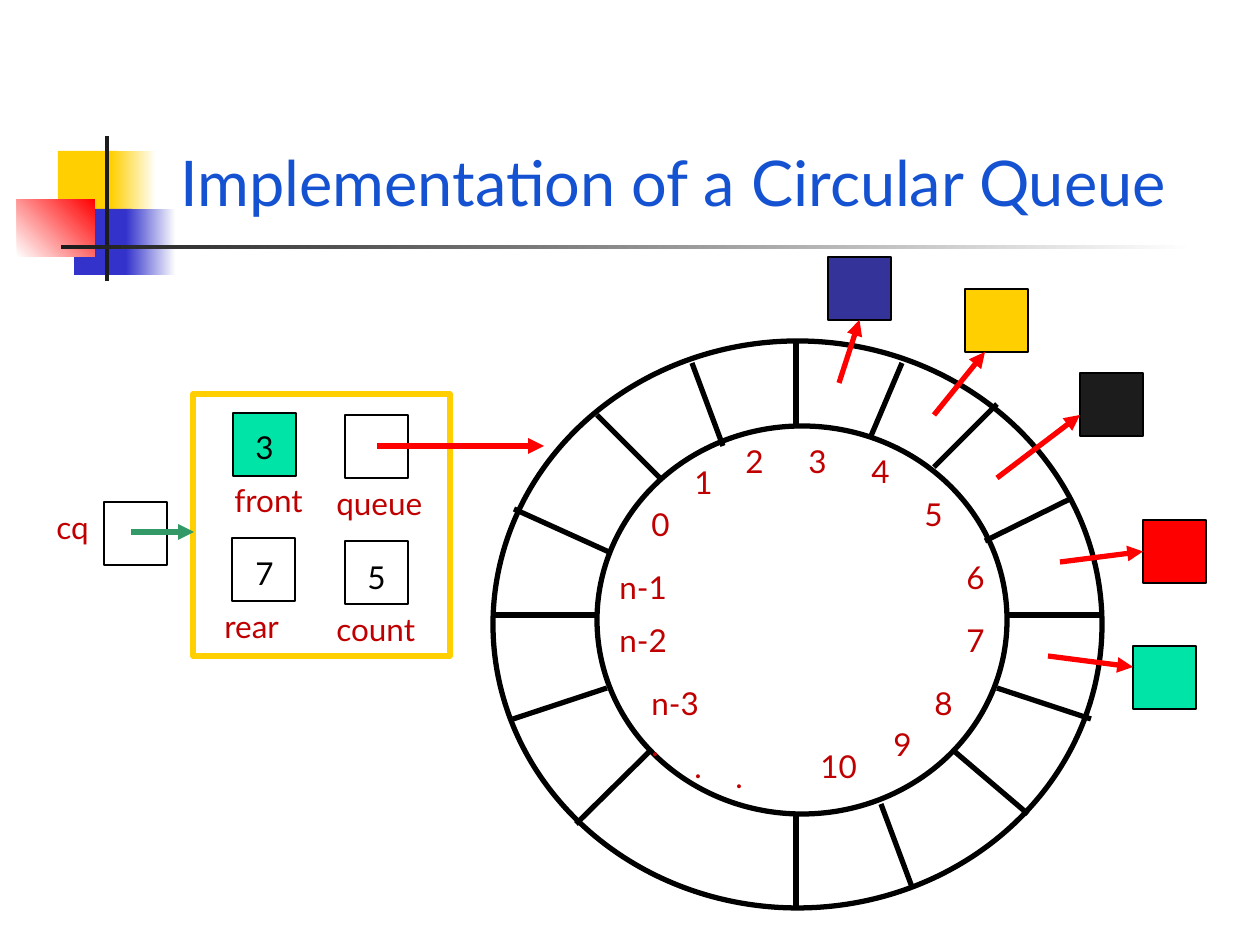
import pptx
import pptx.dml.color
import pptx.enum.dml
import pptx.enum.shapes
import pptx.enum.text
import pptx.util
from pptx.oxml.ns import qn
from lxml import etree

PX_PER_INCH = 126
FONT = "Lato"
BLACK, WHITE, RED, GOLD, TEAL = "000000", "FFFFFF", "FF0000", "FFCF01", "00E4A8"
LABEL_RED, GREEN, DARK, BLUE = "C00000", "339966", "1C1C1C", "3333CC"
CELL = 63
LABEL_HEIGHT = 50
SHAPE = pptx.enum.shapes.MSO_SHAPE


def px(length):
    return pptx.util.Emu(round(length * 914400 / PX_PER_INCH))


def color(hex_string):
    return pptx.dml.color.RGBColor.from_string(hex_string)


def add_outline(slide, kind, box, fill=None, line=None, width=0.75):
    shape = slide.shapes.add_shape(kind, *map(px, box))
    shape.shadow.inherit = False
    if fill:
        shape.fill.solid()
        shape.fill.fore_color.rgb = color(fill)
    else:
        shape.fill.background()
    if line:
        shape.line.color.rgb = color(line)
        shape.line.width = pptx.util.Pt(width)
    else:
        shape.line.fill.background()
    return shape


def add_fade(slide, box, start, end, angle=0):
    """Rectangle with a two-colour gradient, angle counted anticlockwise."""
    shape = add_outline(slide, SHAPE.RECTANGLE, box)
    shape.fill.gradient()
    shape.fill.gradient_angle = angle
    for stop, position, hex_string in zip(shape.fill.gradient_stops, (0, 1), (start, end)):
        stop.position = position
        stop.color.rgb = color(hex_string)


def add_cell(slide, left, top, fill=None):
    return add_outline(slide, SHAPE.RECTANGLE, (left, top, CELL, CELL), fill, BLACK)


def add_line(slide, ends, hex_string=BLACK, arrow=False):
    line = slide.shapes.add_connector(
        pptx.enum.shapes.MSO_CONNECTOR.STRAIGHT, *map(px, ends))
    line.line.color.rgb = color(hex_string)
    line.line.width = pptx.util.Pt(3)
    if arrow:
        etree.SubElement(line.line._get_or_add_ln(), qn("a:tailEnd"), type="triangle")
    etree.SubElement(line._element.spPr, qn("a:effectLst"))
    return line


def add_text(slide, text, box, hex_string=LABEL_RED, size=18,
             anchor=pptx.enum.text.MSO_ANCHOR.TOP):
    frame = slide.shapes.add_textbox(*map(px, box)).text_frame
    frame.word_wrap = True
    frame.vertical_anchor = anchor
    paragraph = frame.paragraphs[0]
    paragraph.text = text
    paragraph.font.name = FONT
    paragraph.font.size = pptx.util.Pt(size)
    paragraph.font.color.rgb = color(hex_string)


def add_label(slide, text, left, top, width, hex_string=LABEL_RED):
    add_text(slide, text, (left, top, width, LABEL_HEIGHT), hex_string)


def add_heading(slide):
    add_outline(slide, SHAPE.RECTANGLE, (58, 151, 60, 66), GOLD)
    add_fade(slide, (111, 151, 45, 66), GOLD, WHITE)
    add_outline(slide, SHAPE.RECTANGLE, (74, 209, 58, 66), BLUE)
    add_fade(slide, (126, 209, 50, 66), BLUE, WHITE)
    add_fade(slide, (17, 199, 78, 58), WHITE, RED, 45)
    add_outline(slide, SHAPE.RECTANGLE, (105, 136, 4, 145), DARK)
    add_fade(slide, (61, 245, 1134, 4), DARK, WHITE)
    add_text(slide, "Implementation of a Circular Queue", (168, 118, 1062, 126),
             "1552D1", 36, pptx.enum.text.MSO_ANCHOR.MIDDLE)


def add_ring(slide):
    add_outline(slide, SHAPE.OVAL, (493, 341, 609, 567), WHITE, BLACK, 3)
    add_outline(slide, SHAPE.OVAL, (597, 426, 410, 388), WHITE, BLACK, 3)
    dividers = [
        (597, 615, 493, 615), (1007, 615, 1101, 615), (796, 341, 796, 426),
        (796, 814, 796, 908), (597, 415, 660, 478), (954, 751, 1028, 814),
        (650, 751, 576, 824), (997, 404, 934, 467), (692, 363, 723, 446),
        (881, 804, 912, 887), (514, 509, 609, 552), (997, 688, 1091, 719),
        (902, 363, 871, 436), (1070, 499, 985, 541), (513, 719, 607, 688),
    ]
    for ends in dividers:
        add_line(slide, ends)


def add_record(slide):
    """The queue record with its four fields, and the pointer cq to it."""
    add_outline(slide, SHAPE.RECTANGLE, (193, 394, 257, 262), None, GOLD, 3)
    fields = [
        ("front", (233, 413), TEAL, (222, 475, 105)),
        ("rear", (232, 538), None, (212, 601, 116)),
        ("queue", (345, 415), None, (324, 478, 126)),
        ("count", (345, 541), None, (324, 604, 126)),
        ("cq", (104, 502), None, (44, 502, 93)),
    ]
    for name, corner, fill, label_box in fields:
        add_cell(slide, *corner, fill)
        add_label(slide, name, *label_box)
    for value, left, top in [("3", 243, 422), ("7", 243, 548), ("5", 355, 552)]:
        add_label(slide, value, left, top, 49, BLACK)
    add_line(slide, (377, 446, 544, 446), RED, arrow=True)
    add_line(slide, (131, 532, 194, 532), GREEN, arrow=True)


def add_indices(slide):
    digit_corners = [
        (639, 499), (682, 457), (733, 436), (796, 436), (859, 446),
        (912, 489), (954, 552), (954, 615), (922, 678), (881, 719),
    ]
    for index, corner in enumerate(digit_corners):
        add_label(slide, str(index), *corner, 49)
    add_label(slide, "10", 808, 741, 73)
    for text, left, top in [("n-1", 607, 562), ("n-2", 607, 615), ("n-3", 639, 678)]:
        add_label(slide, text, left, top, 95)
    for corner in [(639, 719), (682, 741), (723, 751)]:
        add_label(slide, ".", *corner, 42)


def add_items(slide):
    """Queued objects, each with the arrow from its slot; side is the joined one."""
    items = [
        ("333399", (828, 257), (839, 383, 860, 320), 2),
        (GOLD, (965, 289), (934, 415, 985, 352), None),
        (DARK, (1080, 373), (997, 478, 1080, 415), None),
        (RED, (1143, 520), (1060, 562, 1143, 552), 1),
        (TEAL, (1133, 646), (1048, 656, 1133, 667), None),
    ]
    for fill, corner, ends, side in items:
        item = add_cell(slide, *corner, fill)
        arrow = add_line(slide, ends, RED, arrow=True)
        if side is not None:
            arrow.end_connect(item, side)


def main():
    deck = pptx.Presentation()
    deck.slide_width, deck.slide_height = px(1260), px(945)
    slide = deck.slides.add_slide(deck.slide_layouts[6])
    add_heading(slide)
    add_ring(slide)
    add_record(slide)
    add_indices(slide)
    add_items(slide)
    deck.save("out.pptx")


if __name__ == "__main__":
    main()
